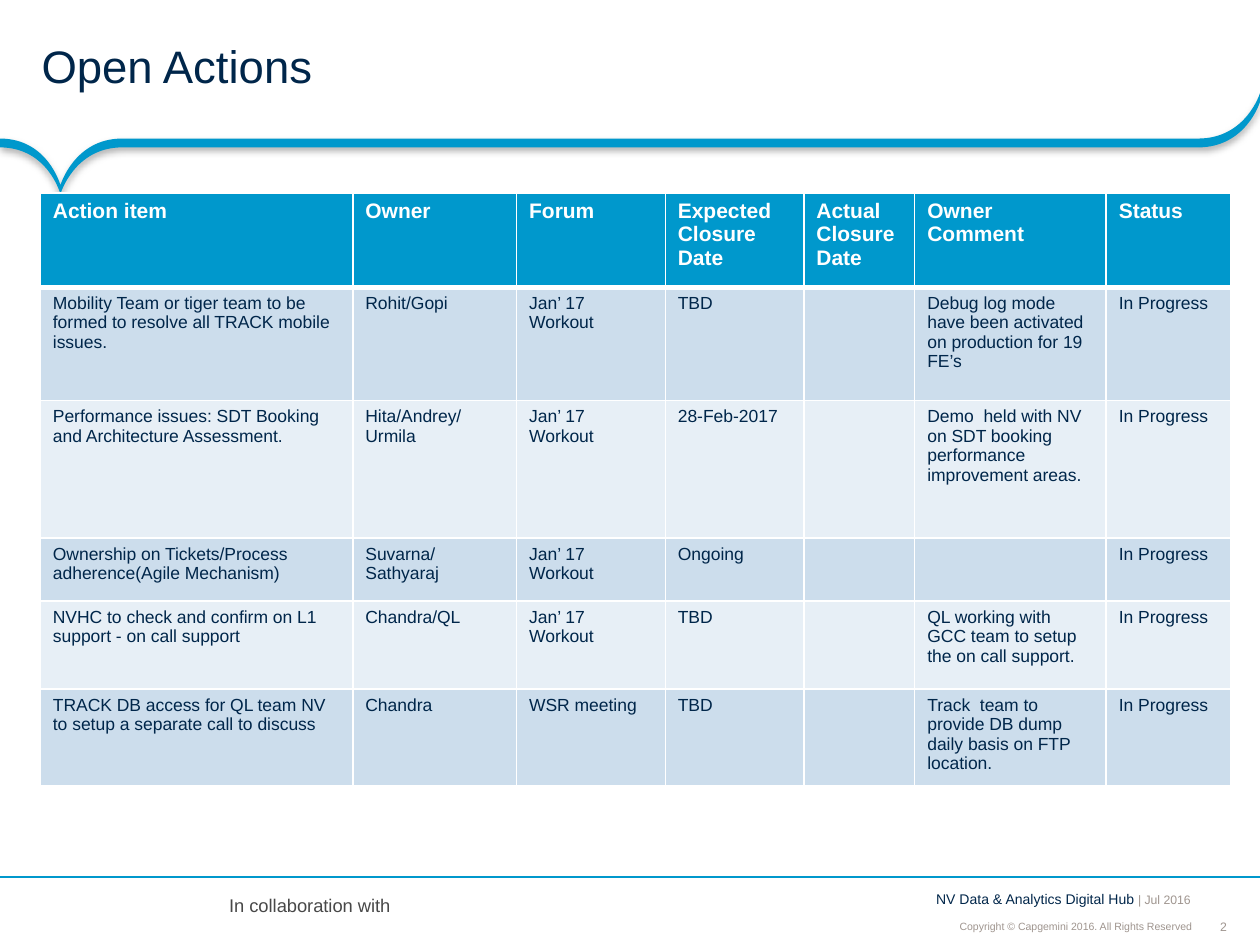
import pptx
import pptx.util
import pptx.dml.color
import pptx.enum.shapes
import pptx.enum.text
import pptx.oxml
import pptx.oxml.ns

Inches, Pt = pptx.util.Inches, pptx.util.Pt
ANCHOR, ALIGN = pptx.enum.text.MSO_ANCHOR, pptx.enum.text.PP_ALIGN
NAMESPACE = pptx.oxml.ns.nsdecls("a")

# Content
TITLE = "Open Actions"
HEADERS = ["Action item", "Owner", "Forum", "Expected Closure Date",
           "Actual Closure Date", "Owner Comment", "Status"]
ACTIONS = [
    ["Mobility Team or tiger team to be formed to resolve all TRACK mobile issues.",
     "Rohit/Gopi", "Jan’ 17 Workout", "TBD", "",
     "Debug log mode have been activated on production for 19 FE’s", "In Progress"],
    ["Performance issues: SDT Booking and Architecture Assessment.",
     "Hita/Andrey/Urmila", "Jan’ 17 Workout", "28-Feb-2017", "",
     "Demo  held with NV on SDT booking performance improvement areas.", "In Progress"],
    ["Ownership on Tickets/Process adherence(Agile Mechanism)",
     "Suvarna/Sathyaraj", "Jan’ 17 Workout", "Ongoing", "", "", "In Progress"],
    ["NVHC to check and confirm on L1 support - on call support",
     "Chandra/QL", "Jan’ 17 Workout", "TBD", "",
     "QL working with GCC team to setup the on call support.", "In Progress"],
    ["TRACK DB access for QL team NV to setup a separate call to discuss",
     "Chandra", "WSR meeting", "TBD", "",
     "Track  team to provide DB dump daily basis on FTP location.", "In Progress"],
]
COLUMN_WIDTHS = [2.48, 1.3, 1.18, 1.1, 0.88, 1.52, 0.99]
ROW_HEIGHTS = [0.75, 0.9, 1.09, 0.5, 0.7, 0.75]

NAVY, BLUE, GREY, WHITE = "00264A", "0098CC", "9F958F", "FFFFFF"
BANDS = ["CCDDEC", "E7EFF6"]

# Footer: place, spans (text, size, colour), alignment, anchor, insets, wrap
FOOTERS = [
    ((9.65, 7.29, 0.12, 0.12), [("2", 7, GREY)],
     ALIGN.CENTER, ANCHOR.MIDDLE, (0, 0), False),
    ((6.81, 7.24, 2.69, 0.2),
     [("Copyright © Capgemini 2016. All Rights Reserved", 6, GREY)],
     ALIGN.RIGHT, ANCHOR.BOTTOM, (0.04, 0.04), True),
    ((7.29, 7.03, 2.2, 0.21),
     [("NV Data & Analytics Digital Hub", 8, NAVY), (" | Jul 2016", 7, GREY)],
     ALIGN.RIGHT, ANCHOR.BOTTOM, (0.04, 0.04), True),
    ((1.72, 7.05, 1.51, 0.28), [("In collaboration with", 10.5, "484848")],
     ALIGN.LEFT, ANCHOR.TOP, (0.1, 0.05), False),
]

# Ribbon outline: each step is one end point, or two control points and an end
RIBBON_START = (9.51, 1.1)
RIBBON_STEPS = [
    [(0.97, 1.1)],
    [(0.59, 1.1), (0.48, 1.47), (0.48, 1.47)],
    [(0.48, 1.47), (0.38, 1.1), (0, 1.1)],
    [(0, 1.17)],
    [(0.38, 1.17), (0.48, 1.54), (0.48, 1.54)],
    [(0.48, 1.54), (0.59, 1.17), (0.97, 1.17)],
    [(9.51, 1.17)],
    [(9.89, 1.17), (10, 0.81), (10, 0.81)],
    [(10, 0.74)],
    [(10, 0.74), (9.89, 1.1), (9.51, 1.1)],
]


def color(value):
    return pptx.dml.color.RGBColor.from_string(value)


def style(font, size, value, bold=False):
    font.name, font.size, font.bold = "Arial", Pt(size), bold
    font.color.rgb = color(value)


def set_insets(frame, left, top, right, bottom):
    frame.margin_left, frame.margin_top = Inches(left), Inches(top)
    frame.margin_right, frame.margin_bottom = Inches(right), Inches(bottom)


def add_effects(shape, content=""):
    shape._element.spPr.append(pptx.oxml.parse_xml(
        f"<a:effectLst {NAMESPACE}>{content}</a:effectLst>"))


def add_ribbon(page):
    builder = page.shapes.build_freeform(*map(Inches, RIBBON_START))
    builder.add_line_segments([tuple(map(Inches, step[-1])) for step in RIBBON_STEPS])
    ribbon = builder.convert_to_shape()
    # Bend the segments that have control points
    segments = ribbon._element.findall(".//" + pptx.oxml.ns.qn("a:lnTo"))
    for segment, step in zip(segments, RIBBON_STEPS):
        if len(step) == 3:
            points = "".join(
                f'<a:pt x="{Inches(x) - ribbon.left}" y="{Inches(y) - ribbon.top}"/>'
                for x, y in step)
            segment.getparent().replace(segment, pptx.oxml.parse_xml(
                f"<a:cubicBezTo {NAMESPACE}>{points}</a:cubicBezTo>"))
    ribbon.fill.solid()
    ribbon.fill.fore_color.rgb = color(BLUE)
    ribbon.line.fill.background()
    add_effects(ribbon, f'<a:outerShdw blurRad="{Pt(4)}" dist="{Pt(2)}" dir="5400000" '
                        'algn="t" rotWithShape="0"><a:srgbClr val="000000">'
                        '<a:alpha val="31000"/></a:srgbClr></a:outerShdw>')


def add_footer(page):
    for place, spans, align, anchor, (side, edge), wrap in FOOTERS:
        box = page.shapes.add_textbox(*map(Inches, place))
        frame = box.text_frame
        frame.word_wrap, frame.vertical_anchor = wrap, anchor
        set_insets(frame, side, edge, side, edge)
        para = frame.paragraphs[0]
        para.alignment = align
        for text, size, value in spans:
            span = para.add_run()
            span.text = text
            style(span.font, size, value)
    rule = page.shapes.add_connector(pptx.enum.shapes.MSO_CONNECTOR.STRAIGHT,
                                     Inches(10), Inches(6.96), 0, Inches(6.96))
    rule.line.color.rgb, rule.line.width = color(BLUE), Pt(0.75)
    add_effects(rule)


def set_borders(cell, bottom):
    properties = cell._tc.get_or_add_tcPr()
    for side, width in (("L", 1), ("R", 1), ("T", 1), ("B", bottom)):
        properties.append(pptx.oxml.parse_xml(
            f'<a:ln{side} {NAMESPACE} w="{Pt(width)}"><a:solidFill>'
            f'<a:srgbClr val="{WHITE}"/></a:solidFill></a:ln{side}>'))


def add_actions(page):
    rows = [HEADERS] + ACTIONS
    table = page.shapes.add_table(
        len(rows), len(HEADERS), Inches(0.32), Inches(1.53),
        Inches(sum(COLUMN_WIDTHS)), Inches(sum(ROW_HEIGHTS))).table
    for column, width in zip(table.columns, COLUMN_WIDTHS):
        column.width = Inches(width)
    for number, (row, height, texts) in enumerate(zip(table.rows, ROW_HEIGHTS, rows)):
        row.height = Inches(height)
        header = number == 0
        for cell, text in zip(row.cells, texts):
            set_borders(cell, 3 if header else 1)
            cell.fill.solid()
            cell.fill.fore_color.rgb = color(BLUE if header else BANDS[(number - 1) % 2])
            cell.text_frame.text = text
            style(cell.text_frame.paragraphs[0].font, 12 if header else 10,
                  WHITE if header else NAVY, header)


def add_title(page):
    title = page.shapes.title
    title.left, title.top, title.width, title.height = map(Inches, (0, 0, 10, 1.1))
    frame = title.text_frame
    frame.text = TITLE
    frame.auto_size = pptx.enum.text.MSO_AUTO_SIZE.NONE
    frame.vertical_anchor = ANCHOR.MIDDLE
    set_insets(frame, 0.33, 0.04, 0.18, 0.04)
    para = frame.paragraphs[0]
    para.alignment, para.line_spacing = ALIGN.LEFT, 0.85
    style(para.runs[0].font, 26, NAVY)


def main():
    deck = pptx.Presentation()
    deck.slide_width, deck.slide_height = Inches(10), Inches(7.5)
    page = deck.slides.add_slide(deck.slide_layouts[5])
    add_ribbon(page)
    add_footer(page)
    add_title(page)
    add_actions(page)
    deck.save("out.pptx")


if __name__ == "__main__":
    main()
